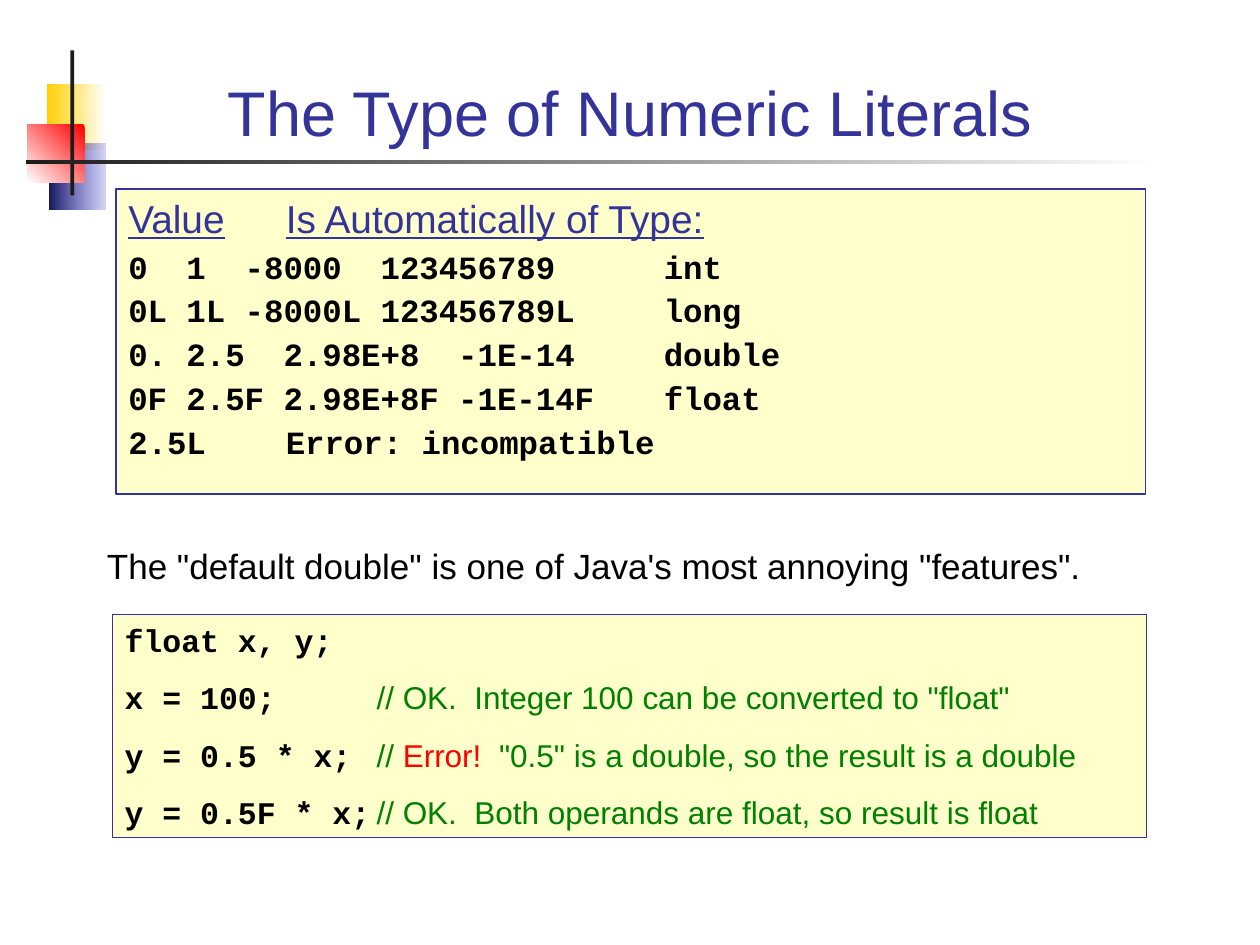
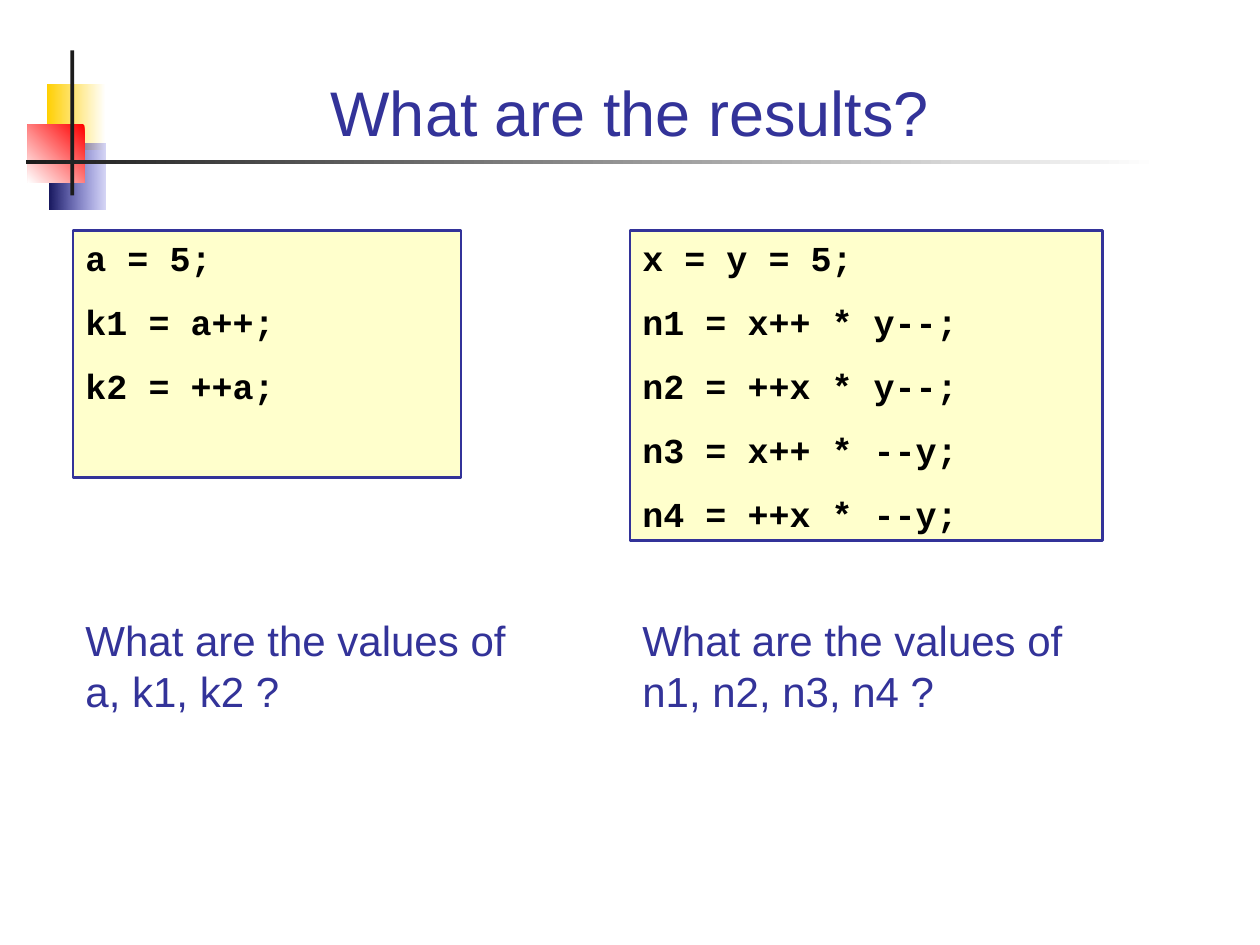
import pptx
import pptx.util
import pptx.dml.color
from lxml import etree
from pptx.enum.shapes import MSO_SHAPE
from pptx.enum.text import MSO_ANCHOR, PP_ALIGN
from pptx.oxml.ns import qn

Inches, Pt, RGB = pptx.util.Inches, pptx.util.Pt, pptx.dml.color.RGBColor
NAVY = RGB(0x33, 0x33, 0x99)
CREAM = RGB(0xFF, 0xFF, 0xCC)
BLACK = RGB(0, 0, 0)
GREEN = RGB(0, 0x80, 0)
RED = RGB(0xFF, 0, 0)
WHITE = RGB(0xFF, 0xFF, 0xFF)
GOLD = RGB(0xFF, 0xCF, 0x01)
BLUE = RGB(0x33, 0x33, 0xCC)
MIDNIGHT = RGB(0x17, 0x17, 0x5E)
CHARCOAL = RGB(0x1C, 0x1C, 0x1C)


def style(size, color=BLACK, name="Arial", **extra):
    return dict(size=Pt(size), color=color, name=name, **extra)


def write(tf, paragraphs, before=0, tabs=(), **paragraph_format):
    """Fill a text frame; each paragraph is a list of (text, style) runs."""
    tf.word_wrap = True
    for i, runs in enumerate(paragraphs):
        p = tf.paragraphs[0] if i == 0 else tf.add_paragraph()
        if tabs:
            stops = etree.SubElement(p._p.get_or_add_pPr(), qn("a:tabLst"))
            for pos in tabs:
                etree.SubElement(stops, qn("a:tab"), pos=str(Inches(pos)), algn="l")
        values = {"alignment": PP_ALIGN.LEFT, **paragraph_format}
        if i:
            values["space_before"] = Pt(before)
        for key, value in values.items():
            setattr(p, key, value)
        for text, look in runs:
            r = p.add_run()
            r.text = text
            for key, value in look.items():
                if key == "color":
                    r.font.color.rgb = value
                else:
                    setattr(r.font, key, value)


prs = pptx.Presentation()
prs.slide_width, prs.slide_height = Inches(10), Inches(7.5)
layout = prs.slide_layouts[5]
for ph in list(layout.placeholders)[1:]:
    ph.element.getparent().remove(ph.element)

titles = ["The Type of Numeric Literals", "What are the results?"]
for title in titles:
    s = prs.slides.add_slide(layout)
    sp = s.shapes.title
    sp.left, sp.top, sp.width, sp.height = map(Inches, (0.67, 0.28, 8.66, 0.95))
    sp.text_frame.vertical_anchor = MSO_ANCHOR.BOTTOM
    write(sp.text_frame, [[(title, style(36, NAVY))]], alignment=PP_ALIGN.CENTER)
literals, results = prs.slides

# Corner squares and crossing bars, shared through the layout
decor = [
    ((0.37, 0.67, 0.47, 0.52), (WHITE, GOLD), 180),
    ((0.39, 1.14, 0.45, 0.52), (BLUE, MIDNIGHT), 180),
    ((0.22, 0.99, 0.45, 0.46), (RED, WHITE), 225),
    ((0.56, 0.4, 0.03, 1.15), (CHARCOAL,), 0),
    ((0.21, 1.27, 8.99, 0.03), (WHITE, CHARCOAL), 180),
]
bars = []
for at, colors, angle in decor:
    sp = literals.shapes.add_shape(MSO_SHAPE.RECTANGLE, *map(Inches, at))
    sp.shadow.inherit = False
    sp.line.fill.background()
    if len(colors) == 1:
        sp.fill.solid()
        sp.fill.fore_color.rgb = colors[0]
    else:
        sp.fill.gradient()
        sp.fill.gradient_angle = angle
        for stop, color in zip(sp.fill.gradient_stops, colors):
            stop.color.rgb = color
        if colors[0] == BLUE:
            first = sp.element.xpath(".//a:gs/a:srgbClr")[0]
            etree.SubElement(first, qn("a:alpha"), val="20000")
    bars.append(sp)
for sp in bars:
    layout.shapes.element.append(sp.element)

# Code panels
heading = style(22.2, NAVY, underline=True)
plain = style(22.2)
literal = style(18.5, name="Courier New", bold=True)
code = style(18, name="Courier New", bold=True)
comment = style(18, GREEN)
error = style(18, RED)
sample = style(20, name="Courier New", bold=True)

literal_rows = [
    "0  1  -8000  123456789\tint",
    "0L 1L -8000L 123456789L\tlong",
    "0. 2.5  2.98E+8  -1E-14\tdouble",
    "0F 2.5F 2.98E+8F -1E-14F\tfloat",
    "2.5L\tError: incompatible",
]
value_table = [[("Value", heading), ("\t", plain), ("Is Automatically of Type:", heading)]]
value_table += [[(row, literal)] for row in literal_rows]
float_code = [
    [("float x, y;", code)],
    [("x = 100;\t", code), ('// OK.  Integer 100 can be converted to "float"', comment)],
    [("y = 0.5 * x;\t", code), ("// ", comment), ("Error!", error),
     ('  "0.5" is a double, so the result is a double', comment)],
    [("y = 0.5F * x;\t", code), ("// OK.  Both operands are float, so result is float", comment)],
]
products = ["x = y = 5;", "n1 = x++ * y--;", "n2 = ++x * y--;", "n3 = x++ * --y;", "n4 = ++x * --y;"]
increments = ["a = 5;", "k1 = a++;", "k2 = ++a;"]

panels = [
    (literals, (0.92, 1.5, 8.17, 2.42), 0.75, 0.09, value_table,
     dict(before=5, tabs=(1.25, 4.25), line_spacing=0.9)),
    (literals, (0.89, 4.88, 8.21, 1.77), 0.75, 0.05, float_code, dict(before=11.2, tabs=(2,))),
    (results, (5, 1.83, 3.75, 2.46), 1.5, 0.05, [[(row, sample)] for row in products], dict(before=12.5)),
    (results, (0.58, 1.83, 3.08, 1.96), 1.5, 0.05, [[(row, sample)] for row in increments], dict(before=12.5)),
]
for s, at, weight, inset, paragraphs, spacing in panels:
    sp = s.shapes.add_shape(MSO_SHAPE.RECTANGLE, *map(Inches, at))
    sp.shadow.inherit = False
    sp.fill.solid()
    sp.fill.fore_color.rgb = CREAM
    sp.line.color.rgb = NAVY
    sp.line.width = Pt(weight)
    sp.text_frame.vertical_anchor = MSO_ANCHOR.TOP
    sp.text_frame.margin_top = Inches(inset)
    write(sp.text_frame, paragraphs, **spacing)

# Remarks and questions
notes = [
    (literals, (0.75, 4.27, 8.69, 0.44),
     'The "default double" is one of Java\'s most annoying "features".', style(20)),
    (results, (0.58, 4.83, 3.75, 0.9), "What are the values of a, k1, k2 ?", style(24, NAVY)),
    (results, (5, 4.83, 3.67, 0.9), "What are the values of n1, n2, n3, n4 ?", style(24, NAVY)),
]
for s, at, text, look in notes:
    sp = s.shapes.add_textbox(*map(Inches, at))
    write(sp.text_frame, [[(text, look)]])

prs.save("out.pptx")
